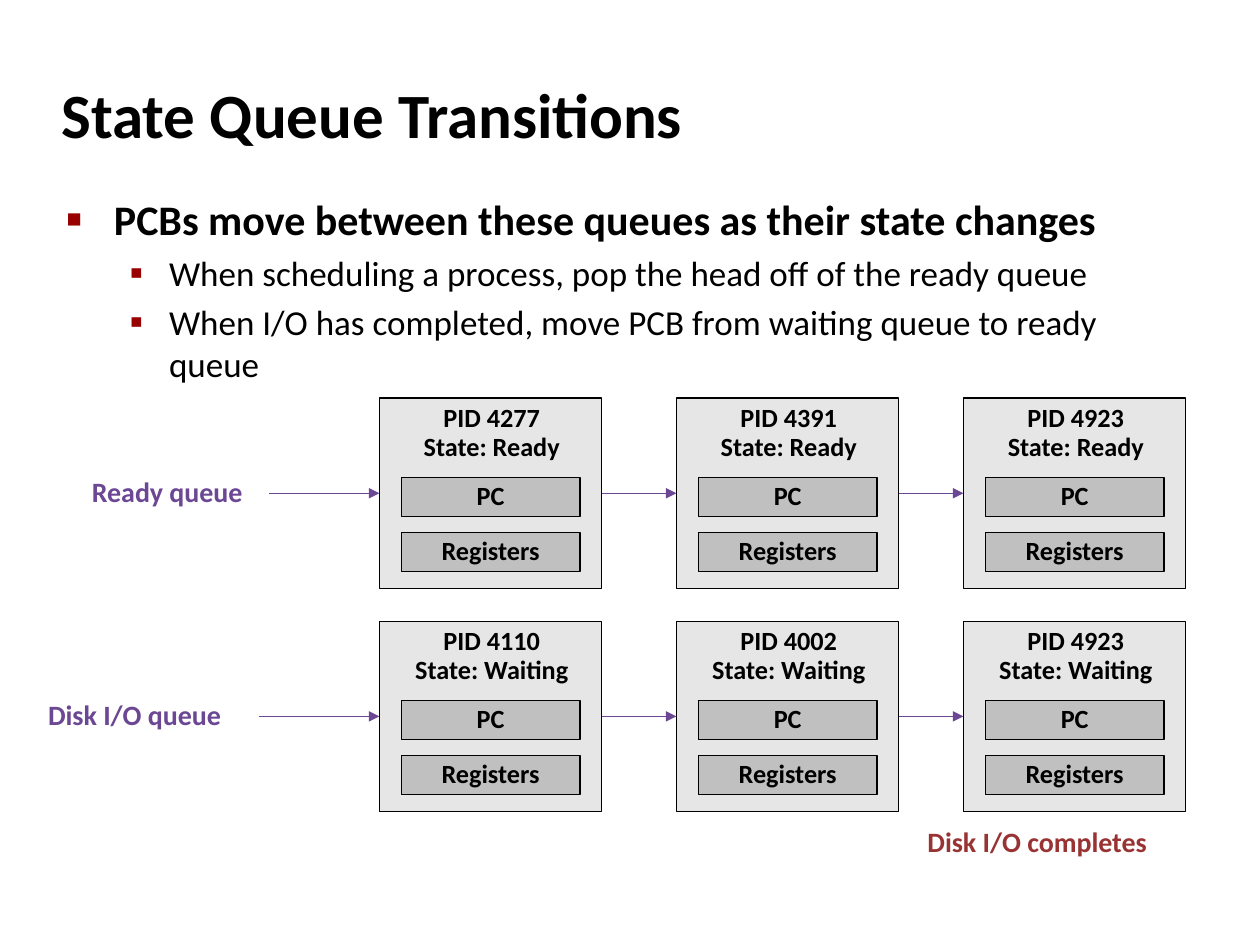
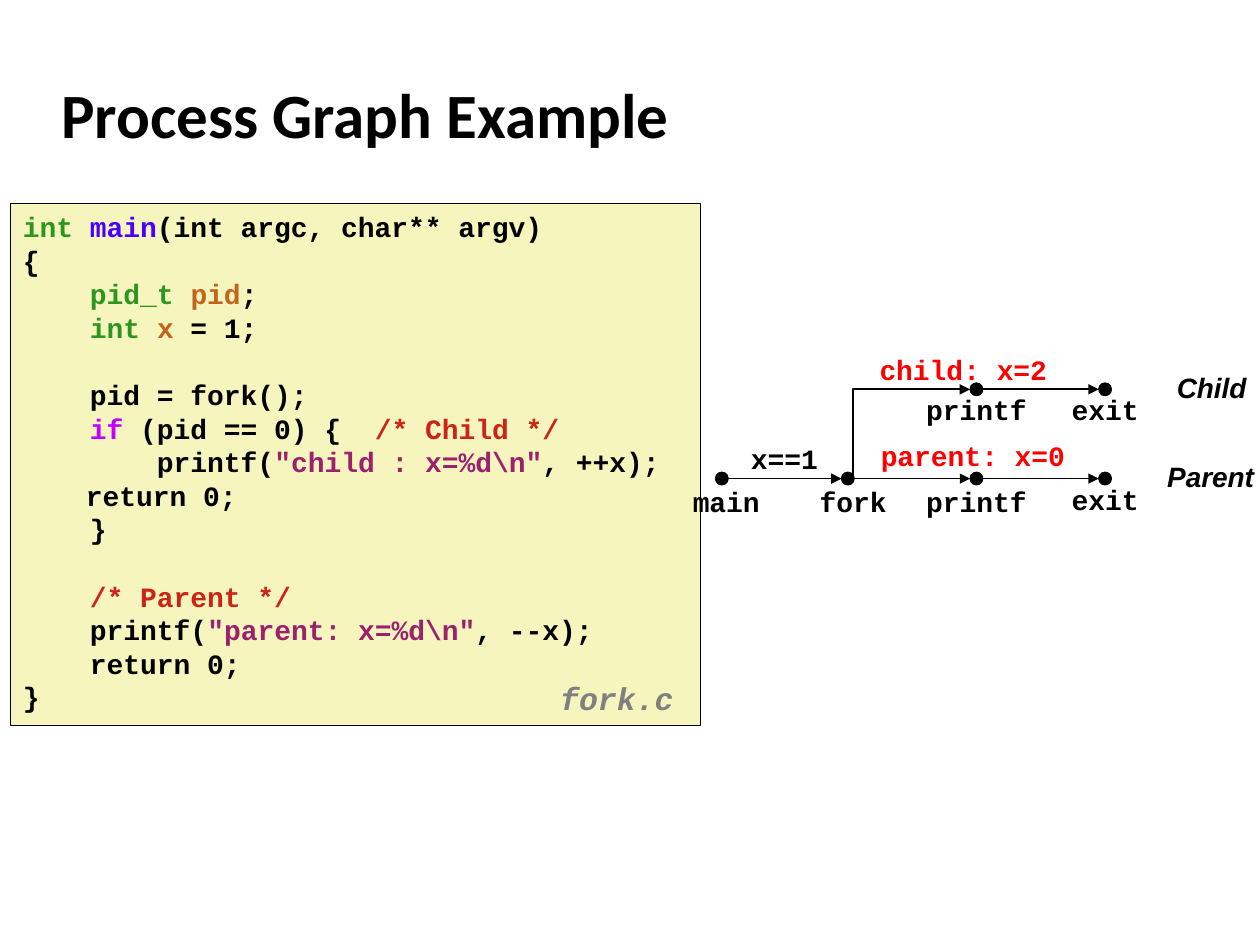
import pptx
import pptx.util
import pptx.dml.color
import pptx.enum.shapes
import pptx.enum.text
import pptx.oxml
import pptx.oxml.ns

Pt = pptx.util.Pt
RGB = pptx.dml.color.RGBColor
KIND = pptx.enum.shapes.MSO_SHAPE
WIRE = pptx.enum.shapes.MSO_CONNECTOR
ALIGN = pptx.enum.text.PP_ALIGN
ANCHOR = pptx.enum.text.MSO_ANCHOR
qn = pptx.oxml.ns.qn

BLACK = RGB(0x00, 0x00, 0x00)
PALE = RGB(0xE6, 0xE6, 0xE6)
SILVER = RGB(0xC0, 0xC0, 0xC0)
GRAY = RGB(0x80, 0x80, 0x80)
PURPLE = RGB(0x6B, 0x47, 0x94)
BRICK = RGB(0x99, 0x33, 0x33)
MAROON = RGB(0x99, 0x00, 0x00)
CREAM = RGB(0xF6, 0xF5, 0xBD)
RED = RGB(0xFF, 0x00, 0x00)
GREEN = RGB(0x2D, 0x96, 0x1E)
BLUE = RGB(0x4A, 0x00, 0xFF)
ORANGE = RGB(0xC1, 0x65, 0x1C)
VIOLET = RGB(0xC2, 0x00, 0xFF)
RUST = RGB(0xCB, 0x24, 0x18)
PLUM = RGB(0x9D, 0x20, 0x6F)

TITLE = {"name": "Calibri", "size": Pt(36), "bold": True}
POINT = {"name": "Calibri", "size": Pt(24), "bold": True}
DETAIL = {"name": "Calibri", "size": Pt(20), "bold": False}
CELL = {"name": "Calibri", "size": Pt(15), "bold": True}
QUEUE = {"name": "Calibri", "size": Pt(16), "bold": True}
CODE = {"name": "Courier New", "size": Pt(16), "bold": True}
FILE = {"name": "Courier New", "size": Pt(18), "bold": True, "italic": True}
ROLE = {"name": "Arial", "size": Pt(16), "bold": True, "italic": True}

INSET = (7.2, 3.6)
LINE = 19.2


def assign(item, form):
    for key, value in form.items():
        setattr(item, key, value)


def style(font, form, color):
    assign(font, form)
    font.color.rgb = color


def frame(shape, inset, anchor=ANCHOR.TOP):
    side, edge = map(Pt, inset)
    assign(shape.text_frame, {
        "word_wrap": True, "vertical_anchor": anchor,
        "margin_left": side, "margin_right": side,
        "margin_top": edge, "margin_bottom": edge,
    })
    return shape.text_frame


def write(text, lines, form, color, **layout):
    for index, line in enumerate(lines):
        para = text.paragraphs[0] if index == 0 else text.add_paragraph()
        assign(para, layout)
        run = para.add_run()
        run.text = line
        style(run.font, form, color)


def label(slide, box, lines, form, color=BLACK, inset=(0, 0),
          anchor=ANCHOR.TOP, **layout):
    shape = slide.shapes.add_textbox(*map(Pt, box))
    write(frame(shape, inset, anchor), lines, form, color, **layout)
    return shape


def block(slide, kind, box, fill, weight=0.75):
    shape = slide.shapes.add_shape(kind, *map(Pt, box))
    shape.shadow.inherit = False
    shape.fill.solid()
    shape.fill.fore_color.rgb = fill
    shape.line.color.rgb = BLACK
    shape.line.width = Pt(weight)
    return shape


def arrow(slide, start, end, color=BLACK, weight=1.0, kind=WIRE.STRAIGHT):
    wire = slide.shapes.add_connector(kind, *map(Pt, start + end))
    wire.line.color.rgb = color
    wire.line.width = Pt(weight)
    props = wire._element.spPr
    tail = pptx.oxml.parse_xml(
        '<a:tailEnd xmlns:a="http://schemas.openxmlformats.org/drawingml/2006/main" type="triangle"/>')
    props.find(qn("a:ln")).append(tail)
    props.append(props.makeelement(qn("a:effectLst"), {}))
    return wire


def corner(slide, start, end):
    midx, midy = (start[0] + end[0]) / 2, (start[1] + end[1]) / 2
    dx, dy = (end[0] - start[0]) / 2, (start[1] - end[1]) / 2
    wire = arrow(slide, (midx + dy, midy + dx), (midx - dy, midy - dx),
                 kind=WIRE.ELBOW)
    props = wire._element.spPr
    props.find(qn("a:xfrm")).set("rot", "5400000")
    props.find(qn("a:prstGeom")).set("prst", "bentConnector2")


def bullet(para, mark, scale):
    props = para._p.get_or_add_pPr()
    color = props.makeelement(qn("a:buClr"), {})
    color.append(color.makeelement(qn("a:srgbClr"), {"val": str(MAROON)}))
    props.append(color)
    for tag, attrs in (("a:buSzPct", {"val": str(scale * 1000)}),
                       ("a:buFont", {"typeface": "Arial"}),
                       ("a:buChar", {"char": mark})):
        props.append(props.makeelement(qn(tag), attrs))


def title(slide, words):
    label(slide, (28, 34.5, 598, 60), [words], TITLE, inset=INSET,
          anchor=ANCHOR.MIDDLE)


def points(slide, box, items):
    text = frame(slide.shapes.add_textbox(*map(Pt, box)), INSET)
    levels = (("■", 60, 27, 27, POINT), ("▪", 110, 58.5, 22.5, DETAIL))
    for index, (level, words) in enumerate(items):
        mark, scale, left, hang, form = levels[level]
        para = text.paragraphs[0] if index == 0 else text.add_paragraph()
        para.level = level
        bullet(para, mark, scale)
        props = para._p.get_or_add_pPr()
        props.set("marL", str(Pt(left)))
        props.set("indent", str(Pt(-hang)))
        if index:
            para.space_before = Pt(4)
        run = para.add_run()
        run.text = words
        style(run.font, form, BLACK)


def card(slide, box, pid, state):
    left, top, width, height = box
    shape = block(slide, KIND.RECTANGLE, box, PALE)
    label(slide, (left + 8, top + 3.6, width - 14.5, 33),
          [f"PID {pid}", f"State: {state}"], CELL,
          alignment=ALIGN.CENTER, line_spacing=0.92)
    for index, name in enumerate(("PC", "Registers")):
        bar = block(slide, KIND.RECTANGLE,
                    (left + 12.5, top + 45.25 + index * 31.5, 102.25, 22.25), SILVER)
        write(frame(bar, (0, 0), ANCHOR.MIDDLE), [name], CELL, BLACK,
              alignment=ALIGN.CENTER, line_spacing=0.93)
    return shape


def queue(slide, top, name, left, width, state, pids):
    high = 108.75
    last = label(slide, (left, top + high / 2 - 9.25, width, 18.5), [name],
                 QUEUE, PURPLE, line_spacing=0.93)
    for across, pid in zip((216.75, 386.5, 550.5), pids):
        here = card(slide, (across, top, 127, high), pid, state)
        wire = arrow(slide, (0, 0), (1, 1), PURPLE, 0.75)
        wire.begin_connect(last, 3)
        wire.end_connect(here, 1)
        last = here


def source(slide, box, lines, name):
    left, top, width, height = box
    panel = block(slide, KIND.RECTANGLE, box, CREAM, 0.25)
    text = frame(panel, INSET)
    for index, (gap, parts) in enumerate(lines):
        para = text.paragraphs[0] if index == 0 else text.add_paragraph()
        assign(para, {"alignment": ALIGN.LEFT, "line_spacing": Pt(LINE)})
        if gap:
            para.space_before = Pt(LINE)
        for words, color in parts:
            run = para.add_run()
            run.text = words
            style(run.font, CODE, color)
    label(slide, (left + width - 87, top + height - 28, 84, 28), [name],
          FILE, GRAY, INSET, line_spacing=0.94)


def graph(slide, left, top):
    low = top + 51
    fork, show, leave = left + 72, left + 145.5, left + 219
    nodes = ((left, low, "main", 2.5), (fork, low, "fork", 3),
             (show, low, "printf", 0), (leave, low, "exit", 0),
             (show, top, "printf", 0), (leave, top, "exit", 0))
    for across, down, name, shift in nodes:
        block(slide, KIND.OVAL, (across - 3.6, down - 3.6, 7.2, 7.2), BLACK)
        lift = 1.5 if down == top or name == "exit" else 0
        label(slide, (across + shift - 37, down - lift, 74, 26.5), [name], CODE,
              inset=(0, 3.6), alignment=ALIGN.CENTER)
    for start, end, down in ((left, fork, low), (fork, show, low),
                             (show, leave, low), (show, leave, top)):
        arrow(slide, (start + 3.6, down), (end - 3.6, down))
    corner(slide, (fork + 3, low), (show - 3.6, top))
    for across, down, words, color in ((138, -24.5, "child: x=2", RED),
                                       (143.5, 24.5, "parent: x=0", RED),
                                       (35.75, 26, "x==1", BLACK)):
        label(slide, (left + across - 72, top + down, 144, 26.5), [words],
              CODE, color, (0, 3.6), alignment=ALIGN.CENTER)
    for across, down, words in ((260, -14.5, "Child"), (254.5, 36.75, "Parent")):
        label(slide, (left + across, top + down, 53, 26.5), [words], ROLE,
              inset=(0, 3.6))


def states(slide):
    title(slide, "State Queue Transitions")
    points(slide, (31, 107.25, 622, 391.5), (
        (0, "PCBs move between these queues as their state changes"),
        (1, "When scheduling a process, pop the head off of the ready queue"),
        (1, "When I/O has completed, move PCB from waiting queue to ready queue"),
    ))
    queue(slide, 227.5, "Ready queue", 52.5, 101.5, "Ready", (4277, 4391, 4923))
    queue(slide, 355, "Disk I/O queue", 27.5, 120.25, "Waiting", (4110, 4002, 4923))
    label(slide, (530, 473, 170.5, 18.5), ["Disk I/O completes"], QUEUE, BRICK,
          line_spacing=0.93)


def process(slide):
    title(slide, "Process Graph Example")
    source(slide, (6, 116.25, 394, 298), (
        (0, (("int ", GREEN), ("main", BLUE), ("(int argc, char** argv)", BLACK))),
        (0, (("{", BLACK),)),
        (0, (("    pid_t ", GREEN), ("pid", ORANGE), (";", BLACK))),
        (0, (("    int ", GREEN), ("x", ORANGE), (" = 1;", BLACK))),
        (1, (("    pid = fork();", BLACK),)),
        (0, (("    if", VIOLET), (" (pid == 0) {  ", BLACK), ("/* Child */", RUST))),
        (0, (("        printf(", BLACK), ('"child : x=%d\\n"', PLUM), (", ++x);", BLACK))),
        (0, (("\treturn 0;", BLACK),)),
        (0, (("    }", BLACK),)),
        (1, (("    /* Parent */", RUST),)),
        (0, (("    printf(", BLACK), ('"parent: x=%d\\n"', PLUM), (", --x);", BLACK))),
        (0, (("    return 0;", BLACK),)),
        (0, (("}", BLACK),)),
    ), "fork.c")
    graph(slide, 412.5, 222.5)


def main():
    deck = pptx.Presentation()
    assign(deck, {"slide_width": Pt(720), "slide_height": Pt(540)})
    for build in (states, process):
        build(deck.slides.add_slide(deck.slide_layouts[6]))
    deck.save("out.pptx")


if __name__ == "__main__":
    main()
